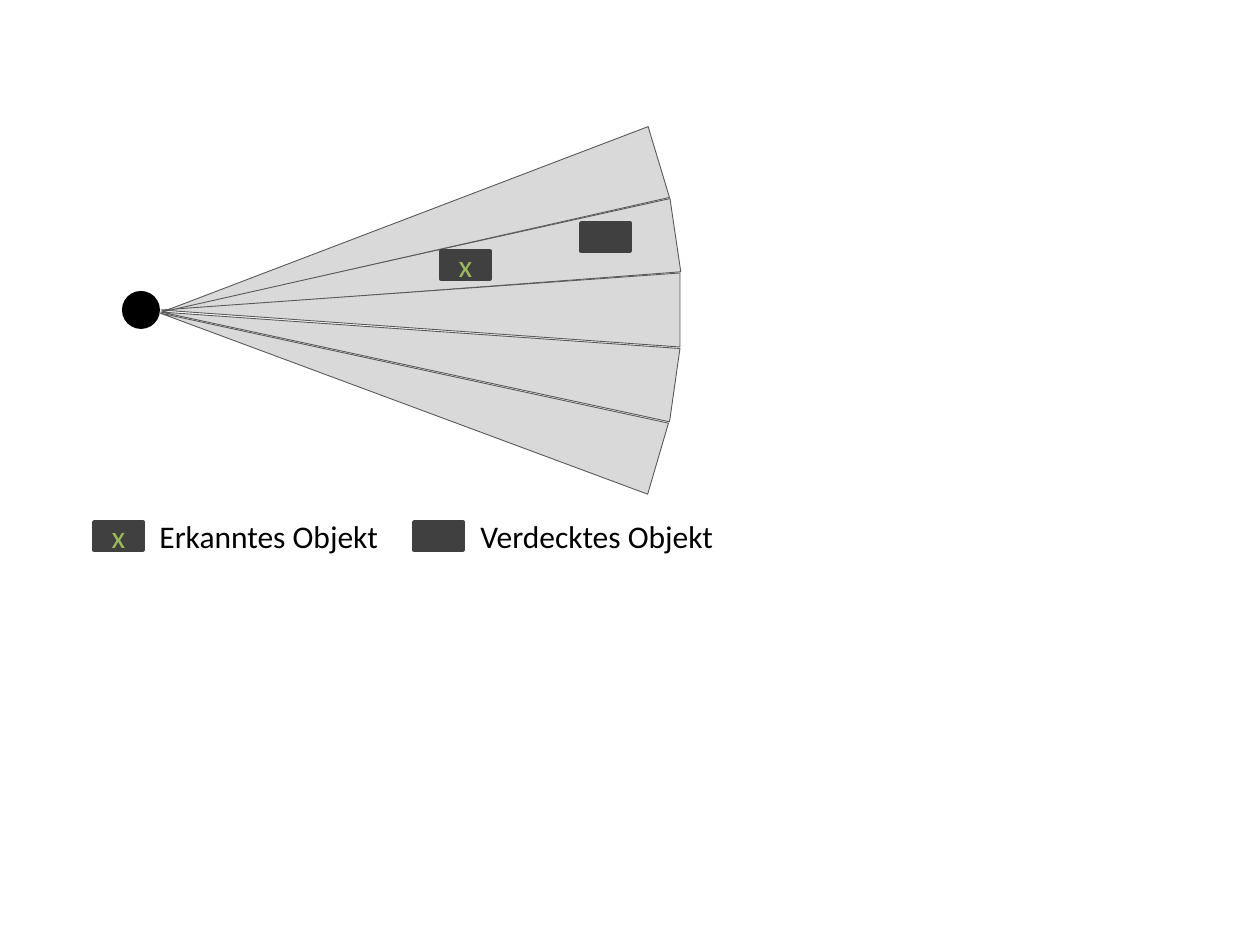
import math
import pptx
import pptx.util
import pptx.dml.color
import pptx.enum.shapes
import pptx.enum.text

SHAPES = pptx.enum.shapes.MSO_SHAPE
TEXT = pptx.enum.text
SCALE = 914400 / 126

SENSOR = (122, 291, 38, 38)
BEAM_WIDTH, BEAM_LENGTH = 74, 519
BEAMS = [
    (8.1, 161, 312),
    (-8.4, 162, 311),
    (0, 161, 310),
    (-16.8, 162, 312),
    (16.3, 160, 313),
]
OBJECT_SIZE = (49, 28)
OBJECTS = [
    (441, 251, "x"),
    (581, 223, ""),
    (94, 522, "x"),
    (414, 522, ""),
]
LABELS = [
    (147, 511, 246, 50, "Erkanntes Objekt"),
    (468, 511, 261, 50, "Verdecktes Objekt"),
]


def px(value):
    return round(value * SCALE)


def color(value):
    return pptx.dml.color.RGBColor.from_string(value)


def add_shape(kind, left, top, width, height, fill, line=None, weight=0):
    shape = page.shapes.add_shape(kind, px(left), px(top), px(width), px(height))
    shape.shadow.inherit = False
    shape.fill.solid()
    shape.fill.fore_color.rgb = color(fill)
    if line:
        shape.line.color.rgb = color(line)
        shape.line.width = pptx.util.Pt(weight)
    else:
        shape.line.fill.background()
    return shape


def write(shape, text, font_color, align):
    para = shape.text_frame.paragraphs[0]
    para.text = text
    para.alignment = align
    para.font.name = "Calibri"
    para.font.size = pptx.util.Pt(18)
    para.font.color.rgb = color(font_color)


deck = pptx.Presentation()
deck.slide_width = pptx.util.Inches(10)
deck.slide_height = pptx.util.Inches(7.5)
page = deck.slides.add_slide(deck.slide_layouts[6])

add_shape(SHAPES.OVAL, *SENSOR, "000000")

for angle, tip_x, tip_y in BEAMS:
    center_x = tip_x + BEAM_LENGTH / 2 * math.cos(math.radians(angle))
    center_y = tip_y + BEAM_LENGTH / 2 * math.sin(math.radians(angle))
    beam = add_shape(SHAPES.ISOSCELES_TRIANGLE, center_x - BEAM_WIDTH / 2,
                     center_y - BEAM_LENGTH / 2, BEAM_WIDTH, BEAM_LENGTH,
                     "D9D9D9", "595959", 0.5)
    beam.rotation = 270 + angle

for left, top, mark in OBJECTS:
    item = add_shape(SHAPES.RECTANGLE, left, top, *OBJECT_SIZE, "404040", "404040", 2)
    if mark:
        item.text_frame.vertical_anchor = TEXT.MSO_ANCHOR.MIDDLE
        write(item, mark, "9BBB59", TEXT.PP_ALIGN.CENTER)

for left, top, width, height, text in LABELS:
    box = page.shapes.add_textbox(px(left), px(top), px(width), px(height))
    box.text_frame.word_wrap = False
    box.text_frame.auto_size = TEXT.MSO_AUTO_SIZE.SHAPE_TO_FIT_TEXT
    write(box, text, "000000", TEXT.PP_ALIGN.LEFT)

deck.save("out.pptx")
